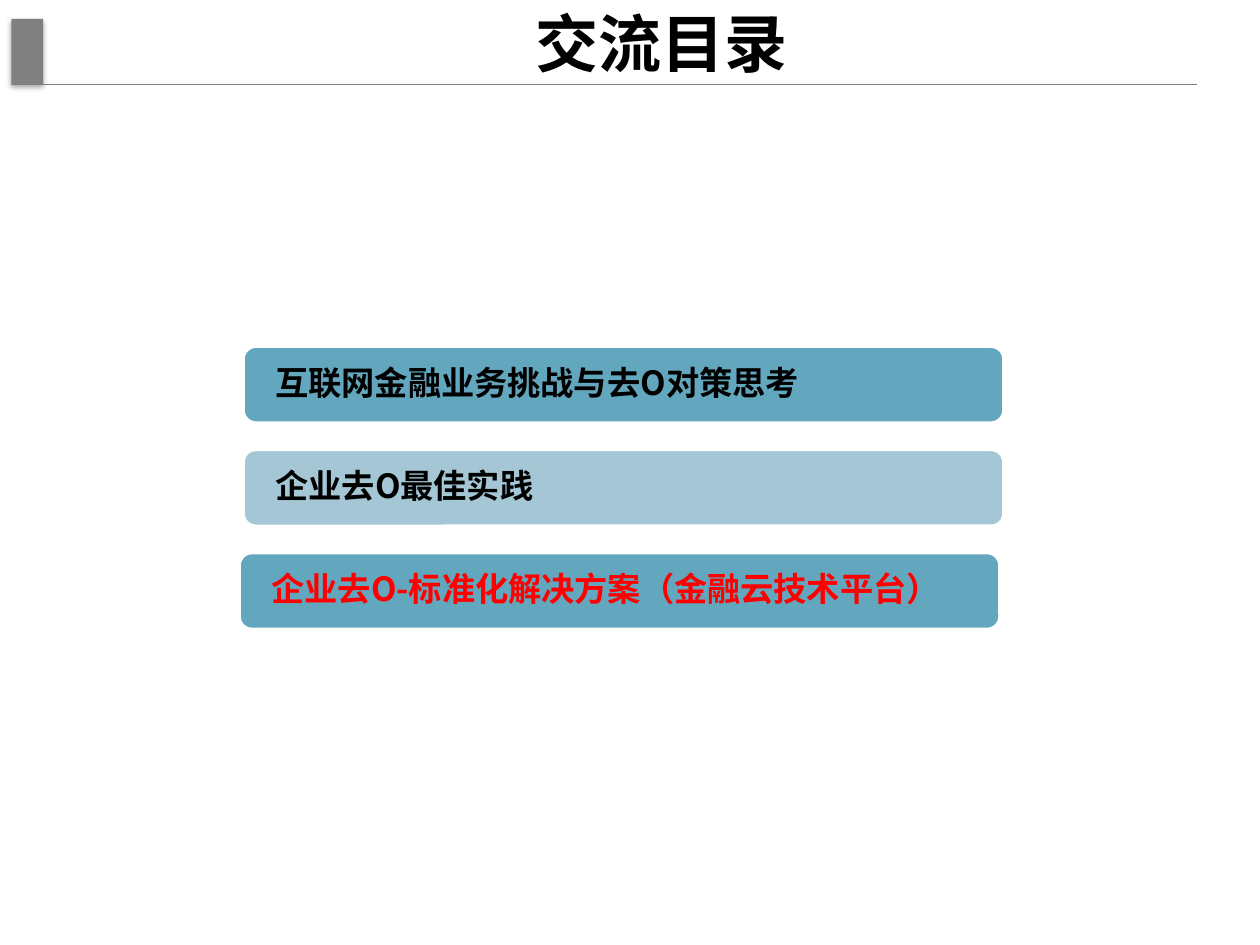
import pptx
import pptx.util
import pptx.dml.color
import pptx.enum.shapes
import pptx.enum.text
import pptx.oxml
import pptx.oxml.ns
from pptx.util import Cm

FONT = "Noto Sans CJK SC"
COLORS = {
    "black": "000000",
    "white": "FFFFFF",
    "gray": "808080",
    "teal": "63A7BE",
    "pale": "A4C6D5",
    "red": "FF0000",
}
AGENDA = [
    # text, fill, text colour, left in cm
    ("互联网金融业务挑战与去O对策思考", "teal", "black", 4.9),
    ("企业去O最佳实践", "pale", "black", 4.9),
    ("企业去O-标准化解决方案（金融云技术平台）", "teal", "red", 4.82),
]
AGENDA_TOP, AGENDA_PITCH = 6.98, 2.08


def rgb(name):
    """Return the named colour."""
    return pptx.dml.color.RGBColor.from_string(COLORS[name])


def add_run(p, text, size, color):
    """Add one bold run in the slide's font."""
    r = p.add_run()
    r.text = text
    r.font.size = pptx.util.Pt(size)
    r.font.bold = True
    r.font.name = FONT
    r.font.color.rgb = rgb(color)
    ea = pptx.oxml.parse_xml(
        f'<a:ea {pptx.oxml.ns.nsdecls("a")} typeface="{FONT}"/>')
    r.font._element.find(pptx.oxml.ns.qn("a:latin")).addnext(ea)


def add_effects(sp, effects=""):
    """Give a shape or connector its own effect list."""
    sp._element.spPr.append(pptx.oxml.parse_xml(
        f'<a:effectLst {pptx.oxml.ns.nsdecls("a")}>{effects}</a:effectLst>'))


def add_header(s):
    """Draw the gray block and the thin rule under the title."""
    block = s.shapes.add_shape(
        pptx.enum.shapes.MSO_SHAPE.RECTANGLE, Cm(0.23), Cm(0.38), Cm(0.64), Cm(1.32))
    block.fill.solid()
    block.fill.fore_color.rgb = rgb("gray")
    block.line.fill.background()
    add_effects(block, (
        '<a:outerShdw blurRad="39370" dist="22860" dir="5400000" rotWithShape="0">'
        f'<a:srgbClr val="{COLORS["black"]}"><a:alpha val="35000"/></a:srgbClr>'
        '</a:outerShdw>'))
    rule = s.shapes.add_connector(
        pptx.enum.shapes.MSO_CONNECTOR.STRAIGHT, Cm(0.23), Cm(1.7), Cm(24.13), Cm(1.7))
    rule.line.color.rgb = rgb("gray")
    rule.line.width = pptx.util.Pt(0.25)
    add_effects(rule)


def add_title(s, text):
    """Place and fill the title placeholder."""
    sp = s.shapes.title
    sp.left, sp.top, sp.width, sp.height = Cm(1.27), Cm(0), Cm(24.13), Cm(1.7)
    tf = sp.text_frame
    tf.auto_size = pptx.enum.text.MSO_AUTO_SIZE.NONE
    tf.vertical_anchor = pptx.enum.text.MSO_ANCHOR.MIDDLE
    p = tf.paragraphs[0]
    p.alignment = pptx.enum.text.PP_ALIGN.CENTER
    add_run(p, text, 36, "black")


def add_agenda_bar(s, text, fill, color, left, top):
    """Add one rounded agenda bar with its text."""
    sp = s.shapes.add_shape(
        pptx.enum.shapes.MSO_SHAPE.ROUNDED_RECTANGLE,
        Cm(left), Cm(top), Cm(15.34), Cm(1.55))
    sp.shadow.inherit = False
    sp.fill.solid()
    sp.fill.fore_color.rgb = rgb(fill)
    sp.line.color.rgb = rgb("white")
    sp.line.width = pptx.util.Pt(2)
    tf = sp.text_frame
    tf.word_wrap = True
    tf.vertical_anchor = pptx.enum.text.MSO_ANCHOR.MIDDLE
    tf.margin_left = tf.margin_right = Cm(0.58)
    tf.margin_top = tf.margin_bottom = Cm(0)
    p = tf.paragraphs[0]
    p.alignment = pptx.enum.text.PP_ALIGN.LEFT
    p.line_spacing = 0.9
    add_run(p, text, 19, color)


def main():
    """Build the agenda slide."""
    prs = pptx.Presentation()
    prs.slide_width, prs.slide_height = Cm(25.4), Cm(19.05)
    s = prs.slides.add_slide(prs.slide_layouts[5])
    add_header(s)
    add_title(s, "交流目录")
    for i, (text, fill, color, left) in enumerate(AGENDA):
        add_agenda_bar(s, text, fill, color, left, AGENDA_TOP + i * AGENDA_PITCH)
    prs.save("out.pptx")


main()
